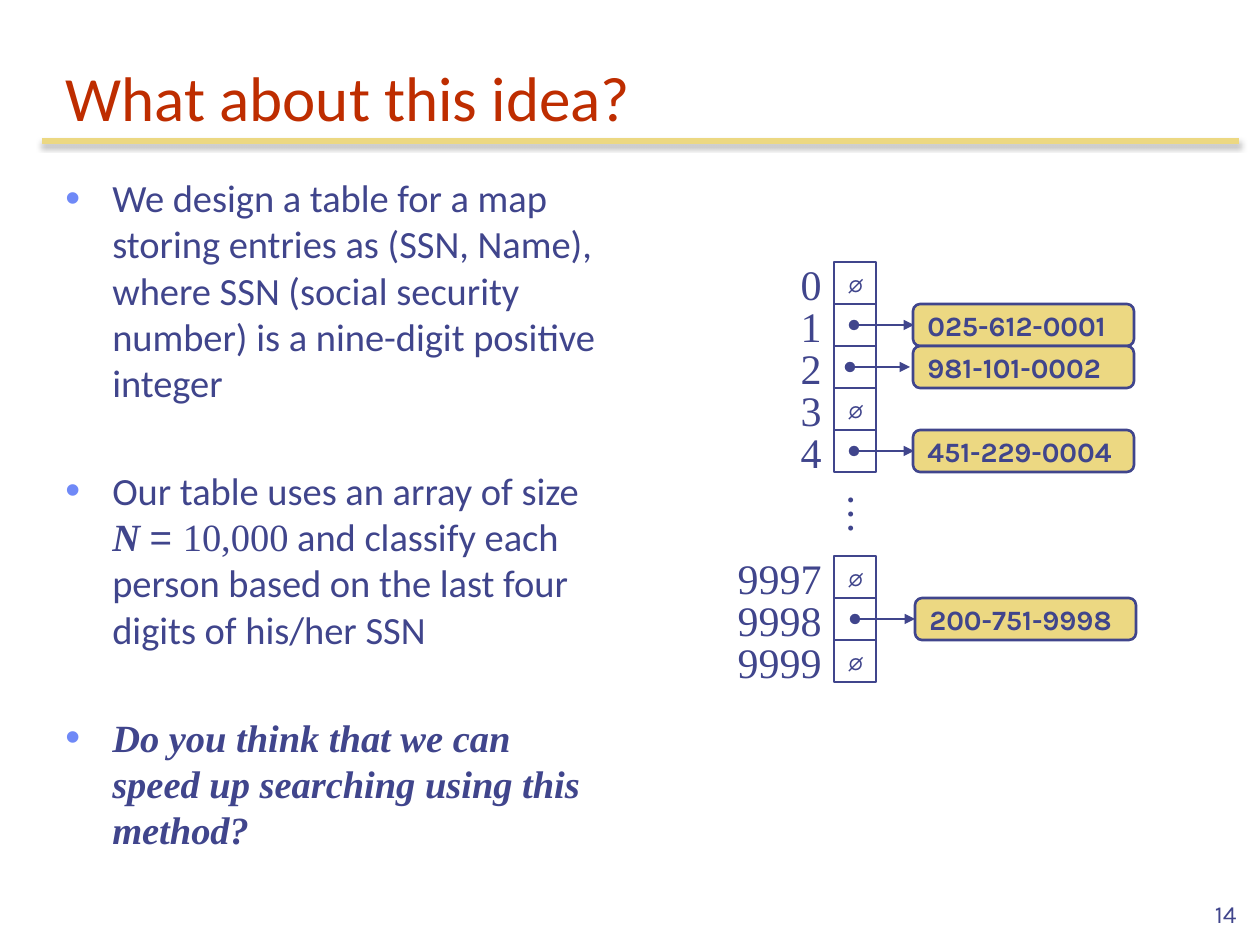
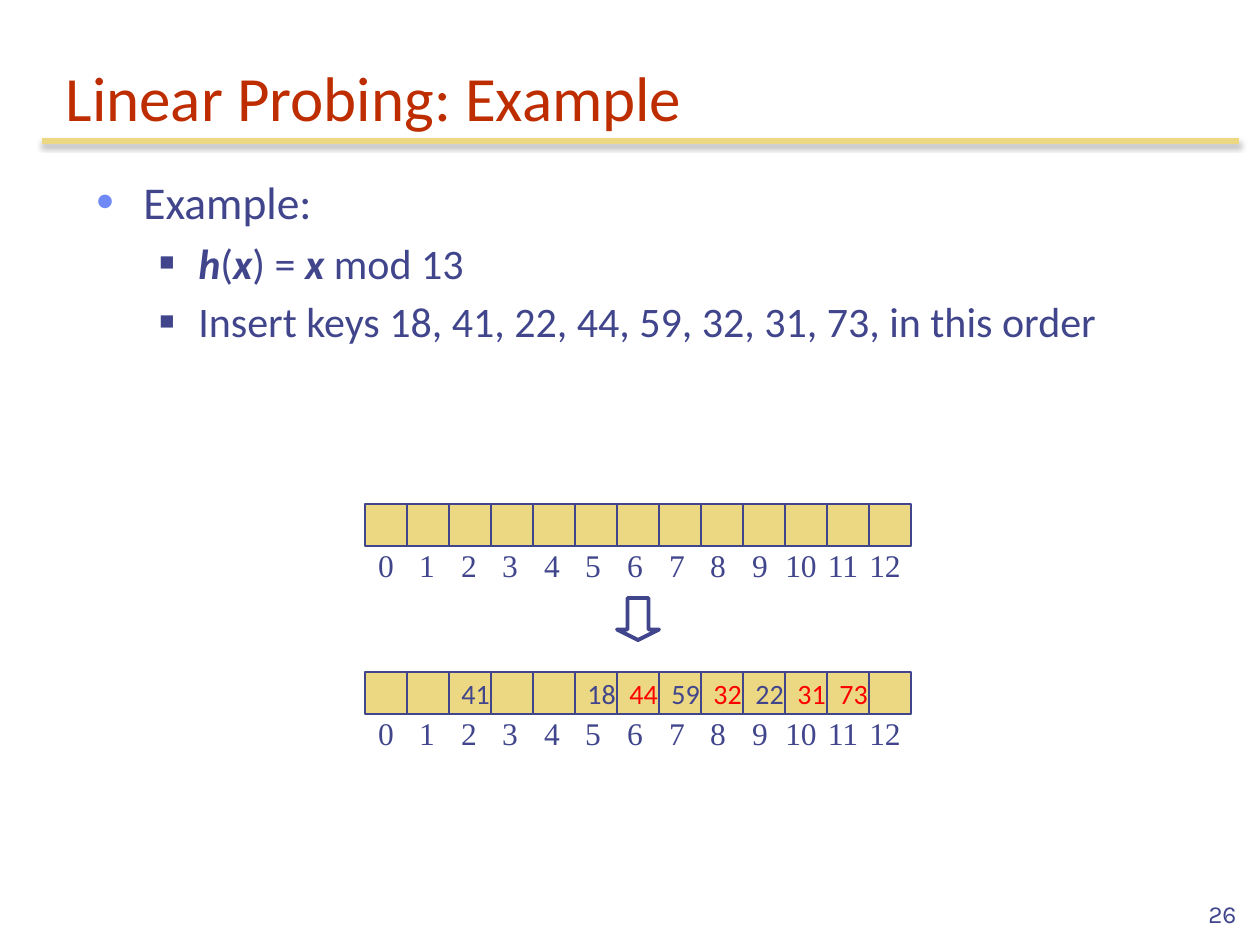
from lxml import etree
from pptx import Presentation
from pptx.dml.color import RGBColor
from pptx.enum.shapes import MSO_CONNECTOR, MSO_SHAPE
from pptx.enum.text import MSO_ANCHOR, MSO_AUTO_SIZE, PP_ALIGN
from pptx.oxml.ns import qn
from pptx.util import Emu, Pt

RECT, ROUND = MSO_SHAPE.RECTANGLE, MSO_SHAPE.ROUNDED_RECTANGLE
DOWN_ARROW, STRAIGHT = MSO_SHAPE.DOWN_ARROW, MSO_CONNECTOR.STRAIGHT
TOP, MIDDLE, BOTTOM = MSO_ANCHOR.TOP, MSO_ANCHOR.MIDDLE, MSO_ANCHOR.BOTTOM
LEFT, CENTER, RIGHT = PP_ALIGN.LEFT, PP_ALIGN.CENTER, PP_ALIGN.RIGHT

# Shared look
PX_PER_INCH = 126
INK, RED, GOLD, BLUE, ALERT = "40458C", "BE2D00", "ECD882", "6F89F7", "FF0000"
SANS, SERIF, ARIAL, KARLA = "Calibri", "Times New Roman", "Arial", "Karla"
CELL = 42
# level: (bullet, colour, size %, left margin, hanging indent)
BULLETS = [("•", BLUE, 110, 47, 47), ("■", INK, 60, 102, 39)]

# Slide content: bullets are (level, size, space before, runs); runs are (text, font, bold italic)
IDEA = {
    "title": "What about this idea?", "page": "14", "body": (53, 168, 557, 726),
    "bullets": [
        (0, 22, 4.4, [("We design a table for a map storing entries as (SSN, Name), where SSN "
                       "(social security number) is a nine-digit positive integer", SANS, False)]),
        (0, 22, 35.4, [("Our table uses an array of size ", SANS, False), ("N ", SERIF, True),
                       ("= ", ARIAL, False), ("10,000", SERIF, False),
                       (" and classify each person based on the last four digits of his/her SSN",
                        SANS, False)]),
        (0, 22, 35.4, [("Do you think that we can speed up searching using this method?",
                        SERIF, True)]),
    ],
}
# (grid row, index, stored number, arrow start, box left)
BUCKETS = [
    (0, "0", None, 0, 0), (1, "1", "025-612-0001", 854, 913),
    (2, "2", "981-101-0002", 850, 913), (3, "3", None, 0, 0),
    (4, "4", "451-229-0004", 854, 913), (7, "9997", None, 0, 0),
    (8, "9998", "200-751-9998", 855, 915), (9, "9999", None, 0, 0),
]
PROBING = {
    "title": "Linear Probing: Example", "page": "26", "body": (84, 168, 1144, 720),
    "bullets": [
        (0, 26, 5.2, [("Example:", SANS, False)]),
        (1, 24, 4.8, [("h", SANS, True), ("(", SANS, False), ("x", SANS, True),
                      (") =", SANS, False), (" x ", SANS, True), ("mod 13", SANS, False)]),
        (1, 24, 4.8, [("Insert keys 18, 41, 22, 44, 59, 32, 31, 73, in this order",
                       SANS, False)]),
    ],
}
SLOTS = 13
KEYS = {2: "41", 5: "18", 6: "44", 7: "59", 8: "32", 9: "22", 10: "31", 11: "73"}
COLLIDED = {"44", "32", "31", "73"}


# Helpers
def px(n):
    return Emu(round(n * 914400 / PX_PER_INCH))


def rgb(hex_code):
    return RGBColor.from_string(hex_code)


def sub(parent, tag, **attrs):
    return etree.SubElement(parent, qn(tag), {k: str(v) for k, v in attrs.items()})


def add_run(p, text, size, font, color=INK, bold=False, italic=False):
    r = p.add_run()
    r.text = text
    r.font.size, r.font.name = Pt(size), font
    r.font.bold, r.font.italic = bold, italic
    r.font.color.rgb = rgb(color)


def write(sp, text, size, font, color=INK, align=LEFT, anchor=TOP, wrap=False, bold=False):
    tf = sp.text_frame
    tf.word_wrap, tf.vertical_anchor, tf.auto_size = wrap, anchor, MSO_AUTO_SIZE.NONE
    p = tf.paragraphs[0]
    p.alignment = align
    add_run(p, text, size, font, color, bold)


def add_box(s, x, y, w, h):
    return s.shapes.add_textbox(px(x), px(y), px(w), px(h))


def add_shape(s, kind, x, y, w, h, fill=None, weight=1.5):
    sp = s.shapes.add_shape(kind, px(x), px(y), px(w), px(h))
    sp.shadow.inherit = False
    if fill:
        sp.fill.solid()
        sp.fill.fore_color.rgb = rgb(fill)
    else:
        sp.fill.background()
    sp.line.color.rgb, sp.line.width = rgb(INK), Pt(weight)
    return sp


def add_line(s, x1, y1, x2, y2, color, weight):
    line = s.shapes.add_connector(STRAIGHT, px(x1), px(y1), px(x2), px(y2))
    line.line.color.rgb, line.line.width = rgb(color), Pt(weight)
    effects = sub(line._element.spPr, "a:effectLst")
    return line, effects


def add_pointer(s, x1, x2, y):
    line, _ = add_line(s, x1, y, x2, y, INK, 1.5)
    ln = line.line._get_or_add_ln()
    sub(ln, "a:headEnd", type="oval")
    sub(ln, "a:tailEnd", type="triangle")


def add_bullet(p, level, size, space, runs):
    char, color, percent, margin, hang = BULLETS[level]
    p.level, p.space_before = level, Pt(space)
    pPr = p._p.get_or_add_pPr()
    pPr.set("marL", str(px(margin)))
    pPr.set("indent", str(-px(hang)))
    sub(sub(pPr, "a:buClr"), "a:srgbClr", val=color)
    sub(pPr, "a:buSzPct", val=percent * 1000)
    sub(pPr, "a:buFont", typeface=ARIAL)
    sub(pPr, "a:buChar", char=char)
    for text, font, strong in runs:
        add_run(p, text, size, font, bold=strong, italic=strong)


def add_page(prs, content):
    s = prs.slides.add_slide(prs.slide_layouts[5])
    # Rule under the title, with a soft shadow
    _, effects = add_line(s, 42, 141, 1239, 141, GOLD, 3)
    shadow = sub(effects, "a:outerShdw", blurRad=Pt(3.1), dist=Pt(1.8), dir=90 * 60000,
                 rotWithShape=0)
    sub(sub(shadow, "a:srgbClr", val="000000"), "a:alpha", val=35000)
    title = s.shapes.title
    title.left, title.top, title.width, title.height = px(53), px(42), px(1176), px(98)
    write(title, content["title"], 36, SANS, RED, anchor=BOTTOM, wrap=True)
    # Bulleted body
    tf = add_box(s, *content["body"]).text_frame
    tf.word_wrap = True
    for i, bullet in enumerate(content["bullets"]):
        p = tf.add_paragraph() if i else tf.paragraphs[0]
        add_bullet(p, *bullet)
    write(add_box(s, 987, 872, 262, 63), content["page"], 14, KARLA,
          align=RIGHT, anchor=BOTTOM, wrap=True)
    return s


# Slide parts
def add_bucket_array(s, left=834, top=262):
    for row, index, number, start, box_left in BUCKETS:
        y = top + row * CELL
        cell = add_shape(s, RECT, left, y, CELL, CELL)
        write(add_box(s, left - 109, y - 10, 109, 63), index, 24, SERIF, align=RIGHT)
        if number is None:
            write(cell, "∅", 18, KARLA, anchor=MIDDLE)
            continue
        entry = add_shape(s, ROUND, box_left, y, 221, CELL, GOLD)
        write(entry, number, 16, KARLA, anchor=MIDDLE, bold=True)
        add_pointer(s, start, start + 60, y + CELL // 2)
    gap = add_box(s, 832, 483, 67, 63)
    gap.rotation = 90
    write(gap, "…", 24, SERIF)


def add_hash_table(s, top, keys, left=365):
    for i in range(SLOTS):
        cell = add_shape(s, RECT, left + i * CELL, top, CELL, CELL, GOLD)
        if i in keys:
            color = ALERT if keys[i] in COLLIDED else INK
            write(cell, keys[i], 16, SANS, color, anchor=MIDDLE)
        # Index labels run slightly tighter than the cells
        center = left + 21 + i * 499 // 12
        write(add_box(s, center - 28, top + 36, 56, 50), str(i), 18, SERIF, align=CENTER)


def main():
    prs = Presentation()
    prs.slide_width, prs.slide_height = px(1260), px(945)

    add_bucket_array(add_page(prs, IDEA))

    s = add_page(prs, PROBING)
    add_hash_table(s, 504, {})
    add_hash_table(s, 672, KEYS)
    arrow = add_shape(s, DOWN_ARROW, 617, 598, CELL, CELL, weight=2.25)
    arrow.adjustments[0], arrow.adjustments[1] = 0.5, 0.25

    prs.save("out.pptx")


if __name__ == "__main__":
    main()
